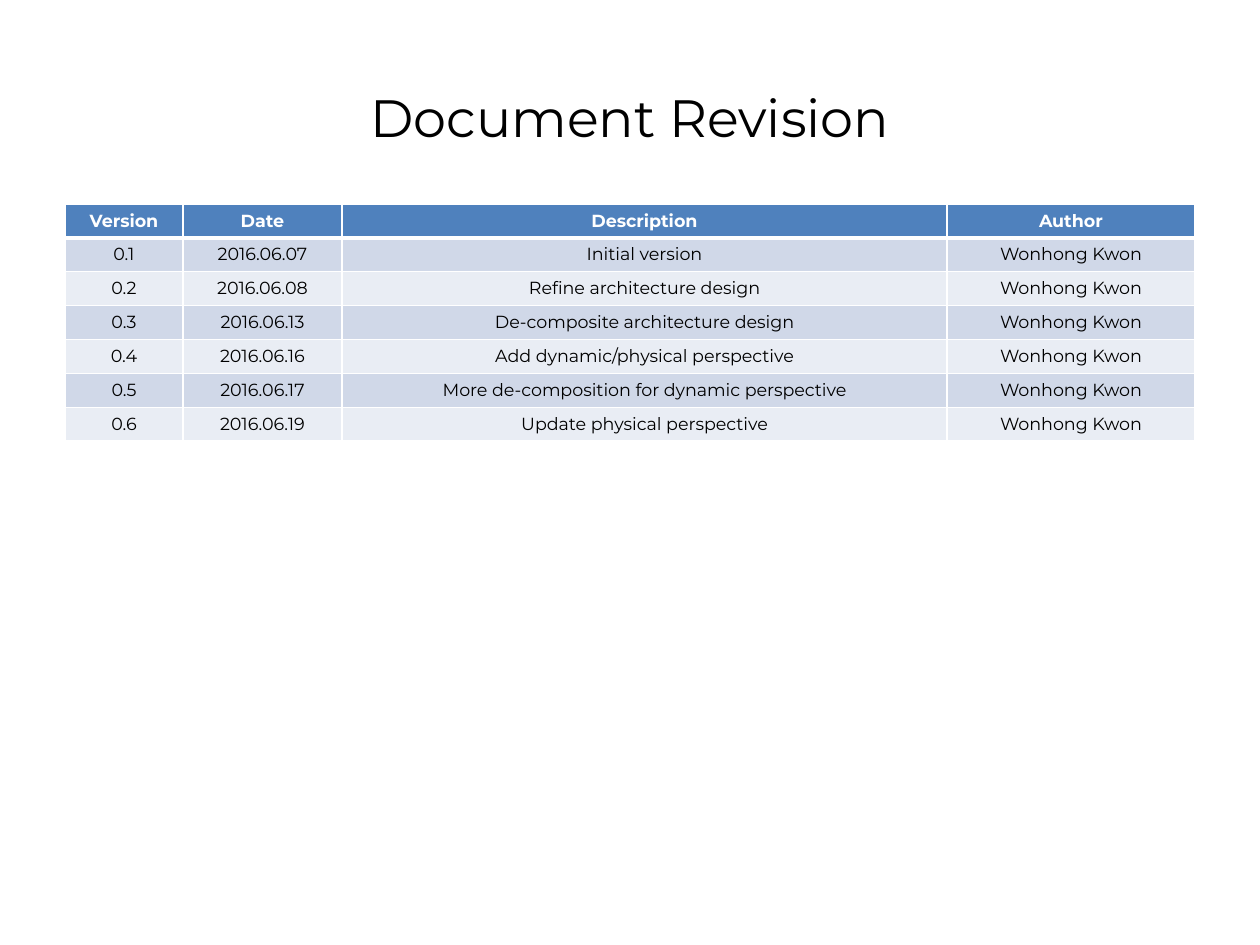
from lxml.etree import SubElement
from pptx import Presentation
from pptx.dml.color import RGBColor
from pptx.enum.text import MSO_ANCHOR, PP_ALIGN
from pptx.oxml.ns import qn
from pptx.util import Pt

SCALE = 914400 / 126
FONT = "Montserrat"
BLACK = RGBColor(0x00, 0x00, 0x00)
WHITE = RGBColor(0xFF, 0xFF, 0xFF)
HEADER_FILL = RGBColor(0x4F, 0x81, 0xBD)
BAND_FILLS = [RGBColor(0xE9, 0xED, 0xF4), RGBColor(0xD0, 0xD8, 0xE8)]

HEADERS = ["Version", "Date", "Description", "Author"]
AUTHOR = "Wonhong Kwon"
REVISIONS = [
    ("0.1", "2016.06.07", "Initial version"),
    ("0.2", "2016.06.08", "Refine architecture design"),
    ("0.3", "2016.06.13", "De-composite architecture design"),
    ("0.4", "2016.06.16", "Add dynamic/physical perspective"),
    ("0.5", "2016.06.17", "More de-composition for dynamic perspective"),
    ("0.6", "2016.06.19", "Update physical perspective"),
]
COL_WIDTHS = [118, 159, 605, 248]


def px(n):
    return round(n * SCALE)


def style_text(tf, size, color, bold=False):
    p = tf.paragraphs[0]
    p.alignment = PP_ALIGN.CENTER
    for r in p.runs:
        r.font.name = FONT
        r.font.size = Pt(size)
        r.font.bold = bold
        r.font.color.rgb = color


def set_borders(cell, top, bottom):
    tc_pr = cell._tc.get_or_add_tcPr()
    for side, width in (("L", 1), ("R", 1), ("T", top), ("B", bottom)):
        ln = SubElement(tc_pr, qn(f"a:ln{side}"), w=str(Pt(width)))
        fill = SubElement(ln, qn("a:solidFill"))
        SubElement(fill, qn("a:srgbClr"), val=str(WHITE))


def add_title(s, x, y, w, h):
    title = s.shapes.title
    title.left, title.top, title.width, title.height = map(px, (x, y, w, h))
    tf = title.text_frame
    tf.text = "Document Revision"
    tf.vertical_anchor = MSO_ANCHOR.MIDDLE
    style_text(tf, 30, BLACK)


def add_revision_table(s, x, y, w, h):
    rows = [HEADERS] + [(*revision, AUTHOR) for revision in REVISIONS]
    frame = s.shapes.add_table(len(rows), len(HEADERS), px(x), px(y), px(w), px(h))
    table = frame.table
    for col, width in zip(table.columns, COL_WIDTHS):
        col.width = px(w * width / sum(COL_WIDTHS))
    for i, row in enumerate(rows):
        header = i == 0
        for j, text in enumerate(row):
            cell = table.cell(i, j)
            cell.text_frame.text = text
            style_text(cell.text_frame, 10, WHITE if header else BLACK, header)
            set_borders(cell, top=3 if i == 1 else 1, bottom=3 if header else 1)
            cell.fill.solid()
            cell.fill.fore_color.rgb = HEADER_FILL if header else BAND_FILLS[i % 2]


def main():
    prs = Presentation()
    prs.slide_width, prs.slide_height = px(1260), px(945)
    s = prs.slides.add_slide(prs.slide_layouts[5])
    add_title(s, 63, 38, 1134, 158)
    add_revision_table(s, 65, 204, 1130, 236)
    prs.save("out.pptx")


if __name__ == "__main__":
    main()
